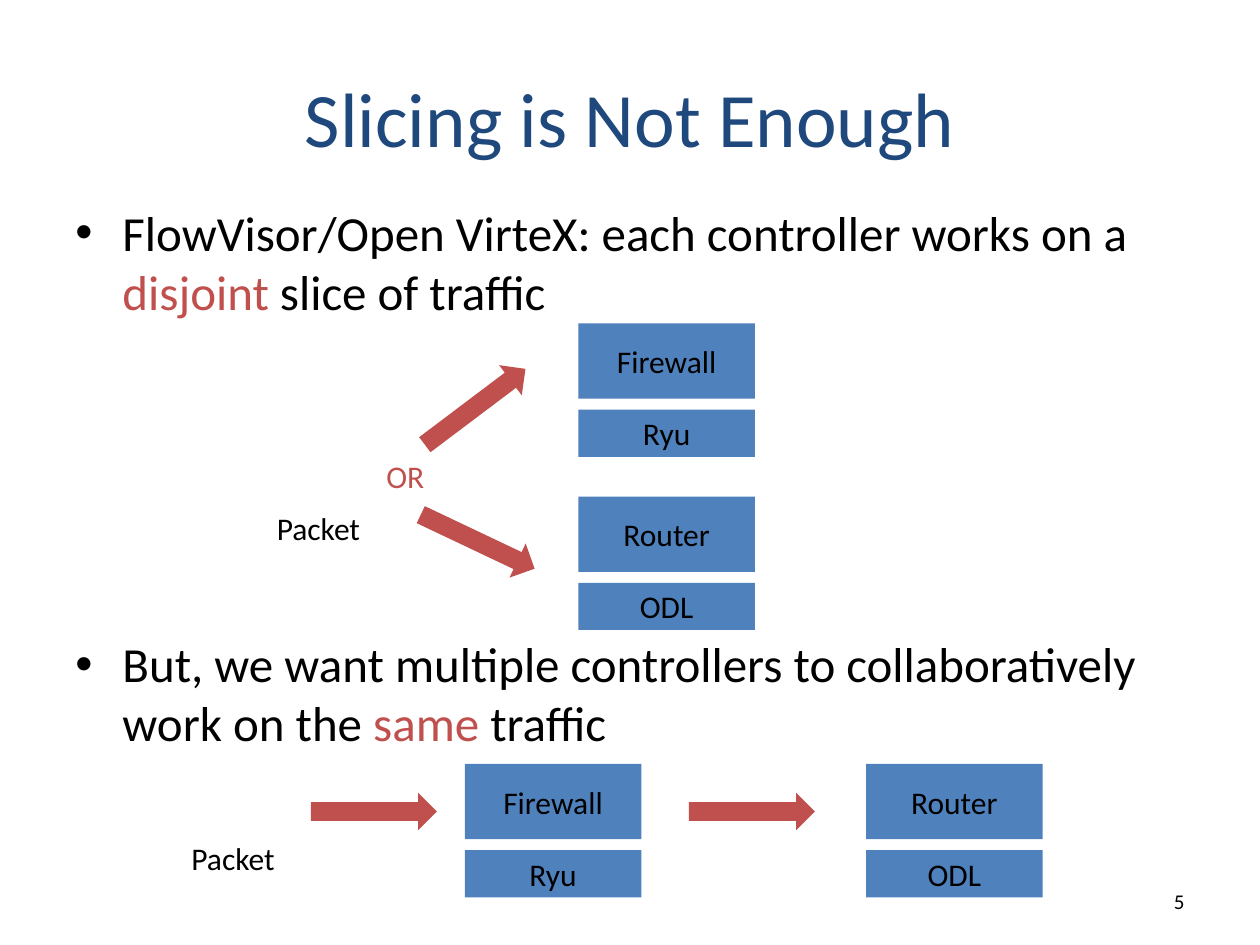
from dataclasses import dataclass

from lxml import etree
from pptx import Presentation
from pptx.dml.color import RGBColor
from pptx.enum.shapes import MSO_SHAPE
from pptx.enum.text import MSO_ANCHOR, PP_ALIGN
from pptx.oxml.ns import qn
from pptx.util import Cm, Pt

RECTANGLE, RIGHT_ARROW = MSO_SHAPE.RECTANGLE, MSO_SHAPE.RIGHT_ARROW
LEFT, CENTER, RIGHT = PP_ALIGN.LEFT, PP_ALIGN.CENTER, PP_ALIGN.RIGHT
TOP, MIDDLE = MSO_ANCHOR.TOP, MSO_ANCHOR.MIDDLE


@dataclass(frozen=True)
class Theme:
    font: str = "Calibri"
    title: RGBColor = RGBColor(0x1F, 0x49, 0x7D)
    text: RGBColor = RGBColor(0, 0, 0)
    accent: RGBColor = RGBColor(0xC0, 0x50, 0x4D)
    block: RGBColor = RGBColor(0x4F, 0x81, 0xBD)
    title_size: int = 44
    body_size: int = 28
    label_size: int = 18
    number_size: int = 12


THEME = Theme()

TITLE = "Slicing is Not Enough"
SLIDE_NUMBER = "5"
MARGIN, CONTENT_WIDTH = 1.27, 22.86
BULLET_HEIGHT, BULLET_INDENT = 4.95, 0.95

# (top, [(text, emphasised)])
BULLETS = [
    (3.96, [("FlowVisor/Open VirteX: each controller works on a ", False),
            ("disjoint ", True), ("slice of traffic", False)]),
    (12.65, [("But, we want multiple controllers to collaboratively work on the ", False),
             ("same", True), (" traffic", False)]),
]

FIREWALL, ROUTER = ("Firewall", "Ryu"), ("Router", "ODL")
STACKS = [
    (FIREWALL, 11.66, 6.52),
    (ROUTER, 11.66, 10.01),
    (FIREWALL, 9.37, 15.4),
    (ROUTER, 17.46, 15.4),
]
BLOCK_WIDTH, APPLICATION_HEIGHT, CONTROLLER_HEIGHT, BLOCK_GAP = 3.56, 1.52, 0.95, 0.22

ARROW_WIDTH, ARROW_HEIGHT = 2.54, 0.76
ARROWS = [(8.31, 7.82, 323), (8.36, 10.54, 25.4), (13.89, 15.98, 0), (6.27, 15.98, 0)]

LABEL_HEIGHT = 1.02
LABELS = [
    ("OR", 7.54, 9.09, 1.65, THEME.accent),
    ("Packet", 5.33, 10.13, 3.07, THEME.text),
    ("Packet", 3.61, 16.79, 3.07, THEME.text),
]


def write(shape, runs, size, alignment=LEFT, anchor=TOP, bullet=False):
    """Fill a shape with one paragraph of (text, colour) runs."""
    frame = shape.text_frame
    frame.word_wrap = True
    frame.vertical_anchor = anchor
    paragraph = frame.paragraphs[0]
    paragraph.alignment = alignment
    if bullet:
        properties = paragraph._p.get_or_add_pPr()
        properties.set("marL", str(Cm(BULLET_INDENT)))
        properties.set("indent", str(-Cm(BULLET_INDENT)))
        etree.SubElement(properties, qn("a:buFont")).set("typeface", "Arial")
        etree.SubElement(properties, qn("a:buChar")).set("char", "•")
    paragraph.font.name = THEME.font
    paragraph.font.size = Pt(size)
    for text, color in runs:
        run = paragraph.add_run()
        run.text = text
        run.font.color.rgb = color


def add_text(slide, box, runs, size, **layout):
    """Add a text box at (left, top, width, height) in centimetres."""
    write(slide.shapes.add_textbox(*map(Cm, box)), runs, size, **layout)


def add_shape(slide, kind, box, color):
    """Add a flat, borderless preset shape."""
    shape = slide.shapes.add_shape(kind, *map(Cm, box))
    shape.shadow.inherit = False
    shape.fill.solid()
    shape.fill.fore_color.rgb = color
    shape.line.fill.background()
    return shape


def add_stack(slide, names, left, top):
    """Place an application block above its controller block."""
    for name, height in zip(names, (APPLICATION_HEIGHT, CONTROLLER_HEIGHT)):
        block = add_shape(slide, RECTANGLE, (left, top, BLOCK_WIDTH, height), THEME.block)
        write(block, [(name, THEME.text)], THEME.label_size, CENTER, MIDDLE)
        top += height + BLOCK_GAP


def main():
    """Build and save the slide."""
    presentation = Presentation()
    presentation.slide_width, presentation.slide_height = Cm(25.4), Cm(19.05)
    slide = presentation.slides.add_slide(presentation.slide_layouts[6])

    add_text(slide, (MARGIN, 0.76, CONTENT_WIDTH, 3.18), [(TITLE, THEME.title)],
             THEME.title_size, alignment=CENTER, anchor=MIDDLE)
    for top, parts in BULLETS:
        runs = [(text, THEME.accent if strong else THEME.text) for text, strong in parts]
        add_text(slide, (MARGIN, top, CONTENT_WIDTH, BULLET_HEIGHT), runs,
                 THEME.body_size, bullet=True)
    add_text(slide, (18.21, 17.65, 5.92, LABEL_HEIGHT), [(SLIDE_NUMBER, THEME.text)],
             THEME.number_size, alignment=RIGHT, anchor=MIDDLE)

    for names, left, top in STACKS:
        add_stack(slide, names, left, top)
    for left, top, rotation in ARROWS:
        arrow = add_shape(slide, RIGHT_ARROW, (left, top, ARROW_WIDTH, ARROW_HEIGHT), THEME.accent)
        arrow.rotation = rotation
    for text, left, top, width, color in LABELS:
        add_text(slide, (left, top, width, LABEL_HEIGHT), [(text, color)], THEME.label_size)

    presentation.save("out.pptx")


if __name__ == "__main__":
    main()
